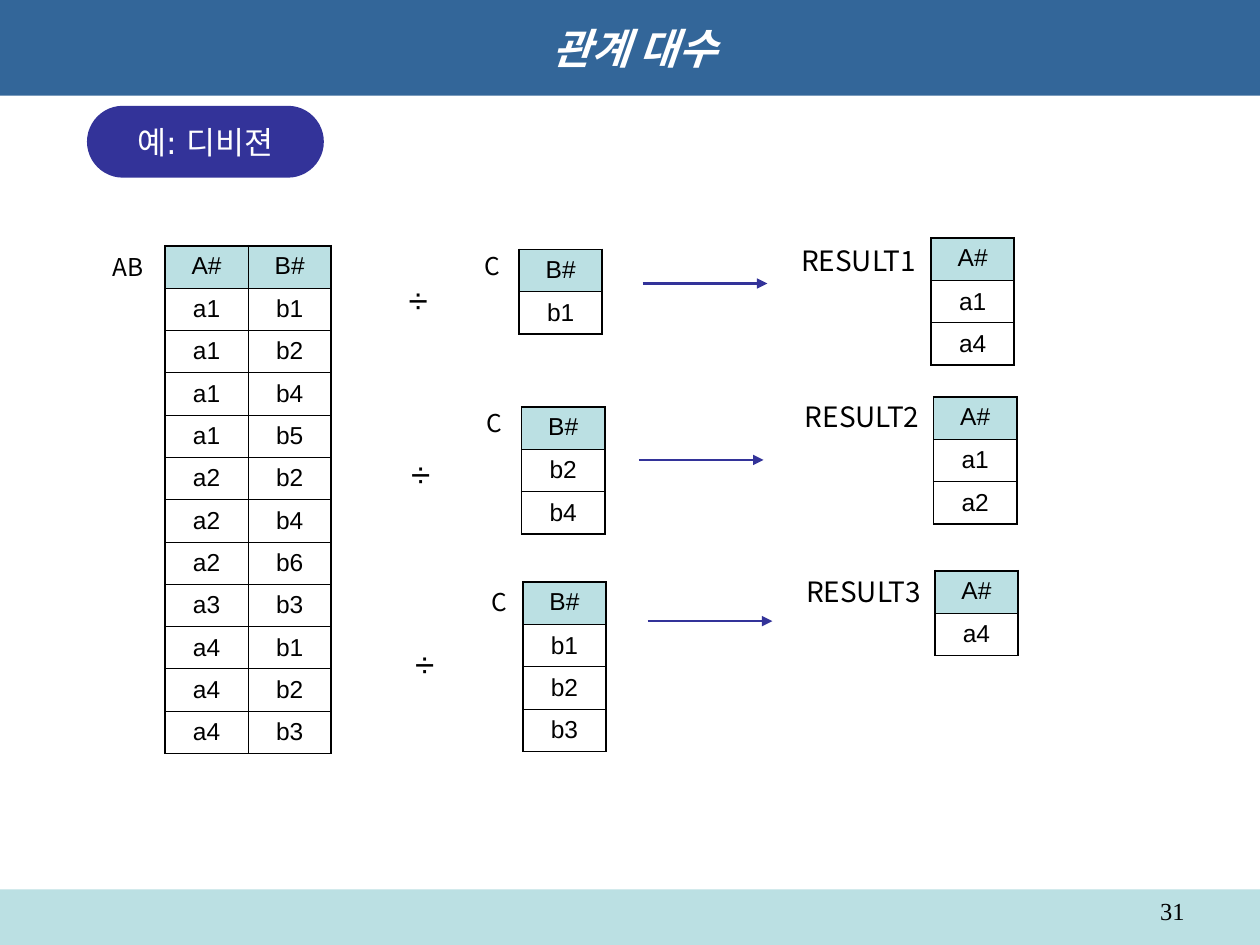
from pptx import Presentation
from pptx.dml.color import RGBColor
from pptx.enum.shapes import MSO_CONNECTOR, MSO_SHAPE
from pptx.enum.text import MSO_ANCHOR, MSO_AUTO_SIZE, PP_ALIGN
from pptx.oxml.ns import qn
from pptx.util import Inches, Pt
from lxml import etree

LEFT, CENTER, RIGHT = PP_ALIGN.LEFT, PP_ALIGN.CENTER, PP_ALIGN.RIGHT
TOP, MIDDLE = MSO_ANCHOR.TOP, MSO_ANCHOR.MIDDLE
RECT, ROUNDED = MSO_SHAPE.RECTANGLE, MSO_SHAPE.ROUNDED_RECTANGLE
STRAIGHT = MSO_CONNECTOR.STRAIGHT
FIT_TEXT = MSO_AUTO_SIZE.SHAPE_TO_FIT_TEXT

WIDTH, HEIGHT = Inches(10), Inches(7.5)
COL_W, ROW_H = 6.6, 4.48
ARROW_W = 9.9
THICK, THIN = 1.08, 0.45
BLUE, NAVY, PALE = "336699", "333399", "BBE0E3"
WHITE, BLACK = "FFFFFF", "000000"
HEADING, LABEL, BODY = "DejaVu Sans", "Noto Sans CJK JP", "Arial"
NUMBER = "Times New Roman"

AB_ROWS = ["A# B#", "a1 b1", "a1 b2", "a1 b4", "a1 b5", "a2 b2", "a2 b4",
           "a2 b6", "a3 b3", "a4 b1", "a4 b2", "a4 b3"]

EXAMPLES = [
    {"divide": (31.1, 28.8), "c": (37.5, 25.87), "divisor": (41.2, 26.4),
     "arrow": (51, 30), "label": (62.6, 25.07), "result": (73.9, 25.2),
     "b": ["b1"], "a": ["a1", "a4"]},
    {"divide": (31.3, 47.2), "c": (37.6, 42.53), "divisor": (41.4, 43.07),
     "arrow": (50.7, 48.67), "label": (62.9, 41.6), "result": (74.1, 42),
     "b": ["b2", "b4"], "a": ["a1", "a2"]},
    {"divide": (31.6, 67.33), "c": (38, 61.47), "divisor": (41.5, 61.6),
     "arrow": (51.4, 65.73), "label": (63, 60.13), "result": (74.2, 60.4),
     "b": ["b1", "b2", "b3"], "a": ["a4"]},
]


def rgb(color):
    return RGBColor.from_string(color)


def across(share):
    return int(WIDTH * share / 100)


def down(share):
    return int(HEIGHT * share / 100)


def box(pos, size):
    return across(pos[0]), down(pos[1]), across(size[0]), down(size[1])


def write(tf, text, size, font, color=BLACK, align=CENTER):
    p = tf.paragraphs[0]
    p.text = text
    p.alignment = align
    p.font.size = Pt(size)
    p.font.name = font
    p.font.color.rgb = rgb(color)
    return p


def paint(sp, color):
    sp.fill.solid()
    sp.fill.fore_color.rgb = rgb(color)


def add_title(slide, text):
    sp = slide.shapes.title
    sp.left, sp.top, sp.width, sp.height = box((0, 0), (100, 10.13))
    paint(sp, BLUE)
    sp.text_frame.vertical_anchor = MIDDLE
    p = write(sp.text_frame, text, 24, HEADING, WHITE)
    p.font.bold = p.font.italic = True


def add_block(slide, kind, pos, size, color):
    sp = slide.shapes.add_shape(kind, *box(pos, size))
    sp.shadow.inherit = False
    paint(sp, color)
    sp.line.fill.background()
    return sp


def add_pill(slide, text):
    sp = add_block(slide, ROUNDED, (6.9, 11.2), (18.8, 7.6), NAVY)
    sp.adjustments[0] = 0.5
    sp.text_frame.vertical_anchor = MIDDLE
    write(sp.text_frame, text, 18, HEADING, WHITE)


def add_label(slide, text, pos, size, points, font=LABEL, align=CENTER):
    tf = slide.shapes.add_textbox(*box(pos, size)).text_frame
    tf.word_wrap = False
    tf.auto_size = FIT_TEXT
    write(tf, text, points, font, align=align)


def add_border(cell, side, width):
    ln = etree.SubElement(cell._tc.get_or_add_tcPr(), qn(f"a:ln{side}"),
                          w=str(Pt(width)))
    fill = etree.SubElement(ln, qn("a:solidFill"))
    etree.SubElement(fill, qn("a:srgbClr"), val=BLACK)


def add_relation(slide, pos, rows):
    grid = [row.split() for row in rows]
    n_rows, n_cols = len(grid), len(grid[0])
    size = (n_cols * COL_W, n_rows * ROW_H)
    table = slide.shapes.add_table(n_rows, n_cols, *box(pos, size)).table
    table.first_row = table.horz_banding = False
    for i, row in enumerate(grid):
        for j, text in enumerate(row):
            cell = table.cell(i, j)
            outer = {"L": j == 0, "R": j == n_cols - 1,
                     "T": i == 0, "B": i == n_rows - 1}
            for side, edge in outer.items():
                add_border(cell, side, THICK if edge else THIN)
            if i == 0:
                paint(cell, PALE)
            else:
                cell.fill.background()
            cell.vertical_anchor = MIDDLE if i else TOP
            write(cell.text_frame, text, 14, BODY)


def add_arrow(slide, pos):
    x, y = pos
    line = slide.shapes.add_connector(STRAIGHT, across(x), down(y),
                                      across(x + ARROW_W), down(y))
    line.line.color.rgb = rgb(NAVY)
    line.line.width = Pt(1.5)
    etree.SubElement(line.line._get_or_add_ln(), qn("a:tailEnd"),
                     type="triangle")
    etree.SubElement(line._element.spPr, qn("a:effectLst"))


def add_example(slide, number, ex):
    add_label(slide, "÷", ex["divide"], (4.2, 5.87), 20, BODY)
    add_label(slide, "C", ex["c"], (3.2, 4.53), 14)
    add_relation(slide, ex["divisor"], ["B#"] + ex["b"])
    add_arrow(slide, ex["arrow"])
    add_label(slide, f"RESULT{number}", ex["label"], (11.1, 4.93), 16,
              align=LEFT)
    add_relation(slide, ex["result"], ["A#"] + ex["a"])


def add_page_number(slide, text):
    tf = slide.shapes.add_textbox(*box((71.7, 94.13), (23.3, 3.87))).text_frame
    tf.word_wrap = True
    write(tf, text, 14, NUMBER, align=RIGHT)


def main():
    prs = Presentation()
    prs.slide_width, prs.slide_height = WIDTH, HEIGHT
    slide = prs.slides.add_slide(prs.slide_layouts[5])
    add_block(slide, RECT, (0, 94.13), (100, 5.87), PALE)
    add_title(slide, " 관계 대수")
    add_pill(slide, "예: 디비젼")
    add_label(slide, "AB", (7.9, 26), (4.5, 4.53), 14)
    add_relation(slide, (13.1, 26), AB_ROWS)
    for number, ex in enumerate(EXAMPLES, 1):
        add_example(slide, number, ex)
    add_page_number(slide, "31")
    prs.save("out.pptx")


if __name__ == "__main__":
    main()
